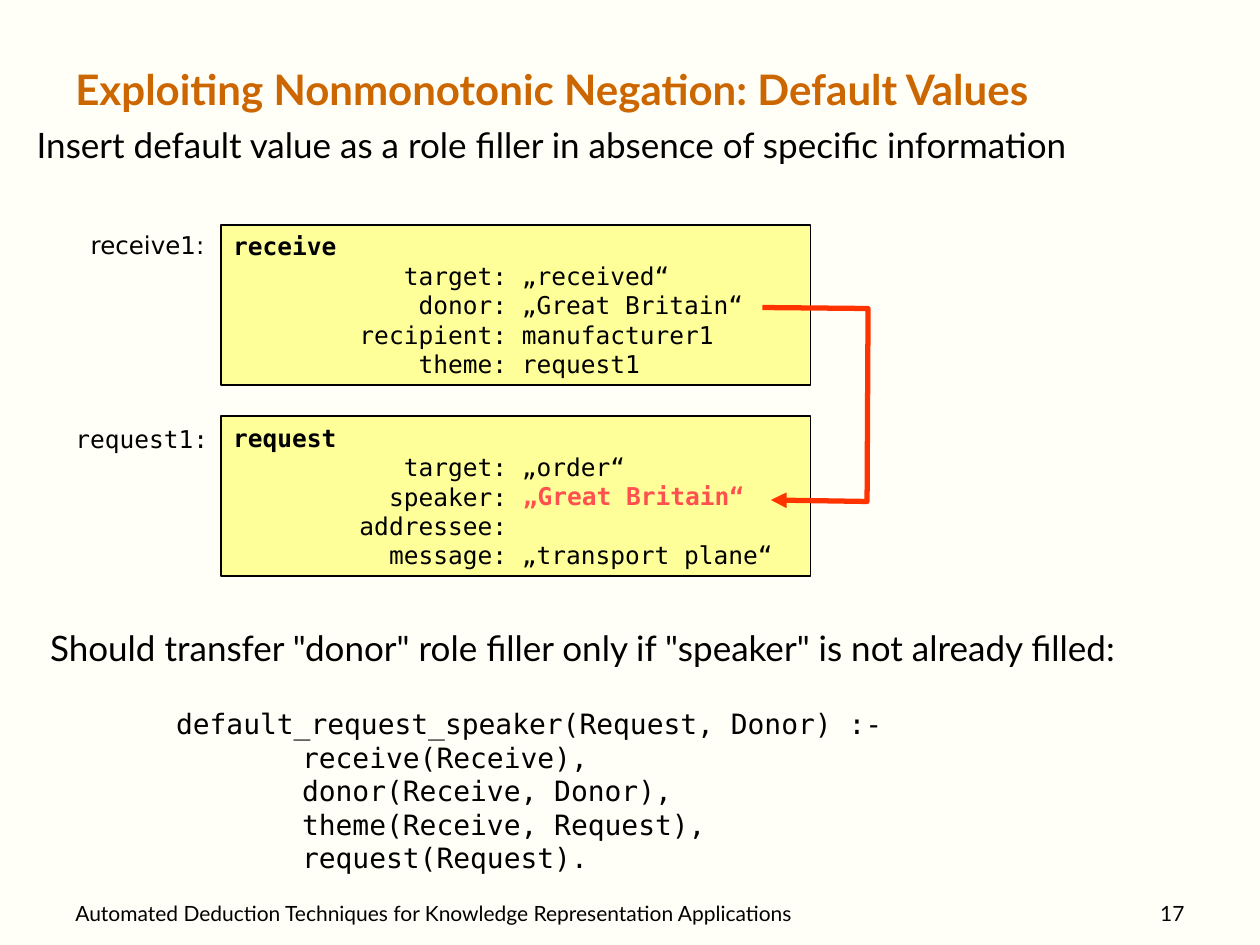
from lxml import etree
from pptx import Presentation
from pptx.dml.color import RGBColor
from pptx.enum.shapes import MSO_SHAPE
from pptx.enum.text import MSO_ANCHOR, MSO_AUTO_SIZE, PP_ALIGN
from pptx.oxml.ns import qn
from pptx.util import Cm, Pt

RECT = MSO_SHAPE.RECTANGLE
TOP, MIDDLE = MSO_ANCHOR.TOP, MSO_ANCHOR.MIDDLE
LEFT, RIGHT = PP_ALIGN.LEFT, PP_ALIGN.RIGHT
GROW = MSO_AUTO_SIZE.SHAPE_TO_FIT_TEXT
BODY, SANS, MONO = "Lato", "DejaVu Sans", "DejaVu Sans Mono"
COLORS = {
    "background": "FFFFF7",
    "title": "CC6600",
    "text": "000000",
    "frame": "FFFF99",
    "default": "FF5050",
    "arrow": "FF3300",
}
FRAME_TABS = [(5.53, "r"), (5.82, "l")]
CODE_TABS = [(2.54, "l")]


def color(name):
    """Return the named colour as an RGBColor."""
    return RGBColor.from_string(COLORS[name])


def set_tabs(p, tabs):
    """Give a paragraph tab stops from (cm, alignment) pairs."""
    tab_list = etree.SubElement(p._p.get_or_add_pPr(), qn("a:tabLst"))
    for pos, algn in tabs:
        etree.SubElement(tab_list, qn("a:tab"), pos=str(Cm(pos)), algn=algn)


def write(tf, text, size, font, fill="text", bold=False, align=LEFT, tabs=()):
    """Fill a text frame and format all its paragraphs."""
    tf.text = text
    for p in tf.paragraphs:
        p.alignment = align
        if tabs:
            set_tabs(p, tabs)
        for r in p.runs:
            r.font.size = Pt(size)
            r.font.name = font
            r.font.bold = bold
            r.font.color.rgb = color(fill)


def add_text(s, box, text, size, font, wrap=True, anchor=TOP, **style):
    """Add a text box at a (left, top, width, height) in cm; unwrapped ones grow."""
    tf = s.shapes.add_textbox(*map(Cm, box)).text_frame
    tf.word_wrap = wrap
    if not wrap:
        tf.auto_size = GROW
    tf.vertical_anchor = anchor
    write(tf, text, size, font, **style)


def add_frame(s, top, name, roles):
    """Add a frame box with its bold name and aligned role fillers."""
    sp = s.shapes.add_shape(RECT, Cm(4.45), Cm(top), Cm(11.89), Cm(3.23))
    sp.shadow.inherit = False
    sp.fill.solid()
    sp.fill.fore_color.rgb = color("frame")
    sp.line.color.rgb = color("text")
    sp.line.width = Pt(1)
    tf = sp.text_frame
    tf.word_wrap = True
    tf.vertical_anchor = MIDDLE
    lines = [f"\t{role}:\t{value}" if value else f"\t{role}:" for role, value in roles]
    write(tf, "\n".join([name] + lines), 14, MONO, tabs=FRAME_TABS)
    tf.paragraphs[0].runs[0].font.bold = True


def add_arrow(s, points):
    """Add an open polyline through cm points with an arrowhead at its end."""
    start, *rest = [(Cm(x), Cm(y)) for x, y in points]
    builder = s.shapes.build_freeform(*start)
    builder.add_line_segments(rest, close=False)
    sp = builder.convert_to_shape()
    sp.shadow.inherit = False
    sp.fill.background()
    sp.line.color.rgb = color("arrow")
    sp.line.width = Pt(3)
    etree.SubElement(sp.line._get_or_add_ln(), qn("a:tailEnd"), type="triangle")


def main():
    """Build the slide and save it."""
    prs = Presentation()
    prs.slide_width, prs.slide_height = Cm(25.4), Cm(19.05)
    s = prs.slides.add_slide(prs.slide_layouts[6])
    s.background.fill.solid()
    s.background.fill.fore_color.rgb = color("background")

    add_text(s, (1.27, 0.76, 22.86, 2.06),
             "Exploiting Nonmonotonic Negation: Default Values",
             24, BODY, anchor=MIDDLE, fill="title", bold=True)
    add_text(s, (0.49, 2.37, 22.96, 1.96),
             "Insert default value as a role filler in absence of specific information",
             20, BODY, wrap=False)

    add_frame(s, 4.53, "receive", [
        ("target", "„received“"),
        ("donor", "„Great Britain“"),
        ("recipient", "manufacturer1"),
        ("theme", "request1"),
    ])
    add_text(s, (1.58, 4.52, 3.35, 0.86), "receive1:", 14, SANS)
    add_frame(s, 8.39, "request", [
        ("target", "„order“"),
        ("speaker", ""),
        ("addressee", ""),
        ("message", "„transport plane“"),
    ])
    add_text(s, (10.29, 9.58, 4.98, 0.86), "„Great Britain“", 14, MONO,
             wrap=False, fill="default", bold=True)
    add_arrow(s, [(15.37, 6.2), (17.5, 6.22), (17.48, 10.11), (15.54, 10.08)])
    add_text(s, (1.27, 8.42, 3.45, 0.86), "request1:", 14, MONO)

    add_text(s, (0.76, 12.5, 23.83, 1.12),
             'Should transfer "donor" role filler only if "speaker" is not already filled:',
             20, BODY, wrap=False)
    code = ["default_request_speaker(Request, Donor) :-", "receive(Receive),",
            "donor(Receive, Donor),", "theme(Receive, Request),", "request(Request)."]
    add_text(s, (3.3, 14.12, 14.8, 3.66), "\n\t".join(code), 16, MONO,
             wrap=False, tabs=CODE_TABS)

    add_text(s, (1.27, 18.02, 16.51, 0.66),
             "Automated Deduction Techniques for Knowledge Representation Applications",
             12, BODY)
    add_text(s, (20.27, 18.02, 3.86, 0.66), "17", 12, BODY, align=RIGHT)
    prs.save("out.pptx")


if __name__ == "__main__":
    main()
